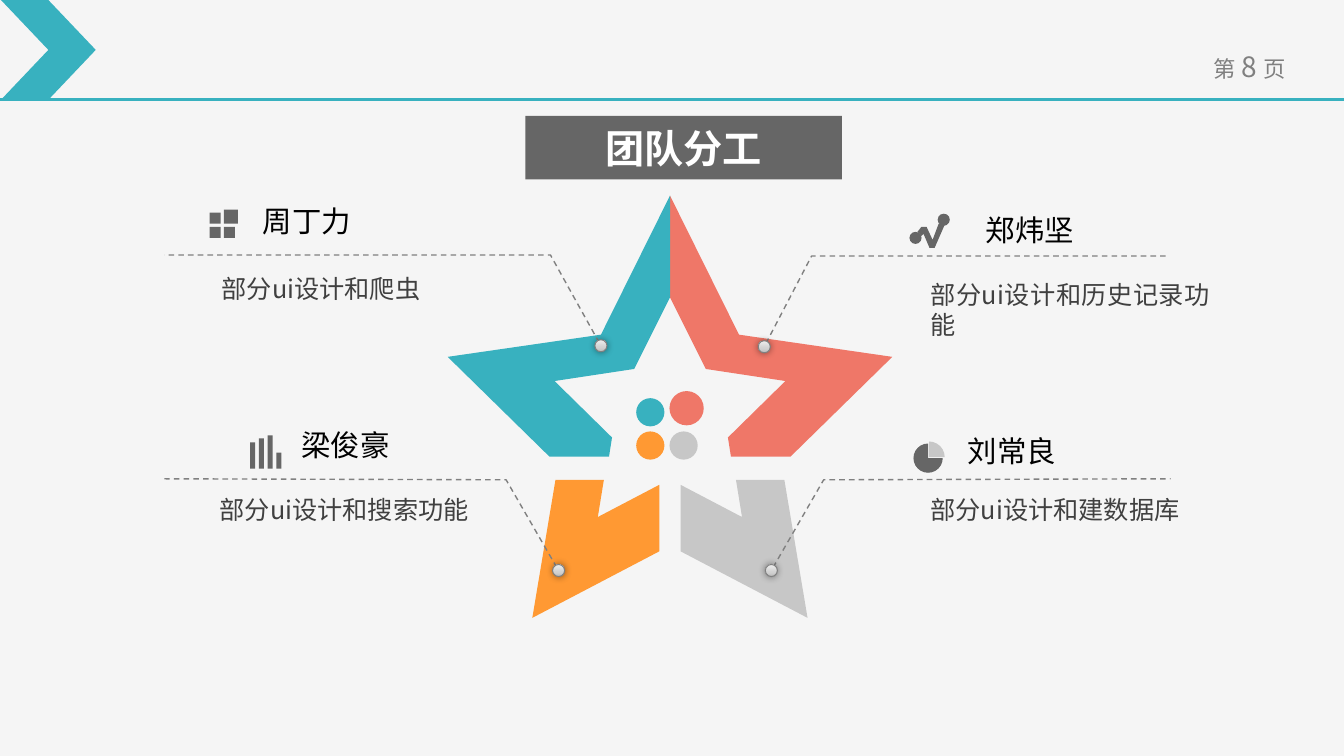
from lxml import etree
from pptx import Presentation, util as u
from pptx.dml.color import RGBColor
from pptx.enum import dml, shapes, text
from pptx.oxml.ns import qn

TEAL = RGBColor(0x38, 0xB1, 0xBF)
CORAL = RGBColor(0xEF, 0x77, 0x68)
AMBER = RGBColor(0xFF, 0x99, 0x33)
SILVER = RGBColor(0xC7, 0xC7, 0xC7)
DARK = RGBColor(0x66, 0x66, 0x66)
GREY = RGBColor(0x80, 0x80, 0x80)
INK = RGBColor(0x40, 0x40, 0x40)
BLACK = RGBColor(0, 0, 0)
WHITE = RGBColor(0xFF, 0xFF, 0xFF)
PALE = RGBColor(0xF5, 0xF5, 0xF5)
PIN = ((0, RGBColor(0xBD, 0xBD, 0xBD)), (35, RGBColor(0xD1, 0xD1, 0xD1)),
       (100, RGBColor(0xEE, 0xEE, 0xEE)))
CJK = "Noto Sans CJK SC"
KIND = shapes.MSO_SHAPE
ALIGN = text.PP_ALIGN
CELL = u.Inches(0.1)


def grid(*vals):
    """Turn grid cells into slide lengths."""
    return [round(v * CELL) for v in vals]


def style(item, vals):
    """Set each format value on the item."""
    for key, val in vals.items():
        setattr(item, key, val)


def node(root, tag, **vals):
    """Add an XML child with attributes."""
    return etree.SubElement(root, qn(tag), {k: str(v) for k, v in vals.items()})


def paint(form, fill):
    """Give a shape a flat fill without line or shadow."""
    form.shadow.inherit = False
    form.fill.solid()
    form.fill.fore_color.rgb = fill
    form.line.fill.background()
    return form


def block(page, kind, box, fill):
    """Draw a filled preset shape."""
    return paint(page.shapes.add_shape(kind, *grid(*box)), fill)


def trace(page, pts, close):
    """Draw an outline through grid points."""
    pts = [grid(*p) for p in pts]
    form = page.shapes.build_freeform(*pts[0], scale=1.0)
    form.add_line_segments(pts[1:], close=close)
    return form.convert_to_shape()


def write(para, words, size, color, face=CJK, bold=False):
    """Add a formatted run to a paragraph."""
    run = para.add_run()
    run.text = words
    style(run.font, {"size": u.Pt(size), "name": face, "bold": bold})
    run.font.color.rgb = color
    node(run.font._element, "a:ea", typeface=CJK)


def label(page, box, parts, align, wrap=True):
    """Place a text box with one paragraph of runs."""
    frame = page.shapes.add_textbox(*grid(*box)).text_frame
    style(frame, {"word_wrap": wrap, "auto_size": text.MSO_AUTO_SIZE.SHAPE_TO_FIT_TEXT})
    para = frame.paragraphs[0]
    para.alignment = align
    for part in parts:
        write(para, *part)


def header(page, box):
    """Draw the top band with chevron, rule and page mark."""
    x, y, w, h = box
    label(page, (x + w - 15.2, y + 4.4, 11.7, 4.4),
          [("第", 16, GREY), (" ", 18, GREY), ("8", 20, GREY), (" ", 18, GREY),
           ("页", 16, GREY)], ALIGN.CENTER, False)
    rule = page.shapes.add_connector(shapes.MSO_CONNECTOR.STRAIGHT,
                                     *grid(x, y + h, x + w, y + h))
    rule.line.color.rgb = TEAL
    rule.line.width = u.Pt(2.25)
    node(rule._element.spPr, "a:effectLst")
    block(page, KIND.CHEVRON, (x + 0.1, y, 9.4, h), TEAL)


def title(page, box):
    """Format the title placeholder as a dark bar."""
    bar = page.shapes.title
    style(bar, dict(zip(("left", "top", "width", "height"), grid(*box))))
    bar.fill.solid()
    bar.fill.fore_color.rgb = DARK
    frame = bar.text_frame
    style(frame, {"vertical_anchor": text.MSO_ANCHOR.MIDDLE, "word_wrap": True,
                  "auto_size": text.MSO_AUTO_SIZE.NONE})
    para = frame.paragraphs[0]
    para.alignment = ALIGN.CENTER
    write(para, "团队分工", 28, WHITE, bold=True)


def star(page, box):
    """Draw the mirrored star and its four dots."""
    x, y, w, h = box
    mid = w / 2
    arm = [(15.2, 13.8), (0, 16), (10.1, 25.9), (16, 25.9), (16.3, 24),
           (10.6, 18.4), (18.5, 17.2), (mid, 10.1), (mid, 0)]
    leg = [(21, 28.7), (14.9, 31.9), (15.5, 28.2), (10.7, 28.2), (8.4, h), (21, 35.3)]
    for pts, left, right in ((leg, AMBER, SILVER), (arm, TEAL, CORAL)):
        paint(trace(page, [(x + w - a, y + b) for a, b in pts], True), right)
        paint(trace(page, [(x + a, y + b) for a, b in pts], True), left)
    for a, b, d, fill in ((18.7, 20.1, 2.8, TEAL), (22, 19.4, 3.4, CORAL),
                          (18.7, 23.4, 2.8, AMBER), (22, 23.4, 2.8, SILVER)):
        block(page, KIND.OVAL, (x + a, y + b, d, d), fill)


def tiles(page, x, y):
    """Draw the icon of four squares."""
    for a, b, d in ((0, 0.3, 1.1), (1.4, 0, 1.4), (0, 1.7, 1.1), (1.4, 1.7, 1.1)):
        block(page, KIND.RECTANGLE, (x + a, y + b, d, d), DARK)


def bars(page, x, y):
    """Draw the icon of four columns on one base."""
    for i, tall in enumerate((2.6, 3, 3.3, 1.6)):
        block(page, KIND.RECTANGLE, (x + i * 0.87, y + 3.3 - tall, 0.5, tall), DARK)


def trend(page, x, y):
    """Draw the icon of a rising line with two dots."""
    pts = [(0.8, 1.8), (1.2, 1.3), (1.7, 1.3), (2.3, 2.6), (2.9, 1),
           (3.5, 1.1), (2.5, 3.4), (2, 3.4), (1.4, 2), (1.2, 2.2)]
    paint(trace(page, [(x + a, y + b) for a, b in pts], True), DARK)
    for a, b in ((0, 1.8), (2.8, 0)):
        block(page, KIND.OVAL, (x + a, y + b, 1.2, 1.2), DARK)


def pie(page, x, y):
    """Draw the icon of a pie with one slice apart."""
    block(page, KIND.PIE, (x, y + 0.2, 2.9, 2.9), DARK)
    part = block(page, KIND.PIE, (x, y, 3.1, 3.1), SILVER)
    part.adjustments[0], part.adjustments[1] = 162, 0


def lead(page, pts):
    """Draw a dashed lead line that starts at a shaded pin."""
    path = trace(page, pts, False)
    path.shadow.inherit = False
    path.fill.background()
    style(path.line, {"width": u.Pt(1), "dash_style": dml.MSO_LINE.DASH})
    path.line.color.rgb = GREY
    node(path.line._ln, "a:headEnd", type="oval")
    x, y = pts[0]
    pin = block(page, KIND.OVAL, (x - 0.6, y - 0.6, 1.2, 1.2), SILVER)
    pin.line.color.rgb = GREY
    pin.line.width = u.Pt(0.75)
    pin.fill.gradient()
    pin.fill.gradient_angle = 90
    props = pin._element.spPr
    stops = props.find(".//" + qn("a:gsLst"))
    for old in list(stops):
        stops.remove(old)
    for pos, color in PIN:
        node(node(stops, "a:gs", pos=pos * 1000), "a:srgbClr", val=color)
    glow = node(props.find(qn("a:effectLst")), "a:outerShdw", blurRad=u.Pt(5), dist=0, dir=0)
    node(node(glow, "a:srgbClr", val="000000"), "a:alpha", val=40000)


def member(page, name, task, icon, spot, head, body, pts):
    """Place one member's lead line, icon, name and task."""
    lead(page, pts)
    icon(page, *spot)
    label(page, (*body, 29.7, 4), [(task, 18, INK)], ALIGN.JUSTIFY)
    label(page, (*head, 22.9, 4.5), [(name, 21, BLACK, "Calibri")], ALIGN.LEFT)


TEAM = (
    ("周丁力", "部分ui设计和爬虫", tiles, (20.8, 20.8), (25.1, 19.7), (21, 26.6),
     [(59.6, 34.3), (54.6, 25.3), (16.3, 25.3)]),
    ("郑炜坚", "部分ui设计和历史记录功能", trend, (90.2, 21.2), (96.8, 20.6), (91.3, 27.2),
     [(75.8, 34.4), (80.5, 25.4), (115.8, 25.4)]),
    ("刘常良", "部分ui设计和建数据库", pie, (90.6, 43.8), (95, 42.5), (91.3, 48.6),
     [(76.5, 56.6), (81.7, 47.6), (116.1, 47.5)]),
    ("梁俊豪", "部分ui设计和搜索功能", bars, (24.8, 43.2), (28.9, 41.9), (20.8, 48.6),
     [(55.4, 56.6), (50.2, 47.6), (16.3, 47.5)]),
)


def main():
    """Build the team slide and save it."""
    deck = Presentation()
    style(deck, {"slide_width": u.Inches(13.33), "slide_height": u.Inches(7.5)})
    page = deck.slides.add_slide(deck.slide_layouts[5])
    page.background.fill.solid()
    page.background.fill.fore_color.rgb = PALE
    header(page, (0, 0, 133.3, 9.9))
    title(page, (52.1, 11.5, 31.4, 6.3))
    star(page, (44.4, 19.4, 44.1, 41.9))
    for row in TEAM:
        member(page, *row)
    deck.save("out.pptx")


if __name__ == "__main__":
    main()
